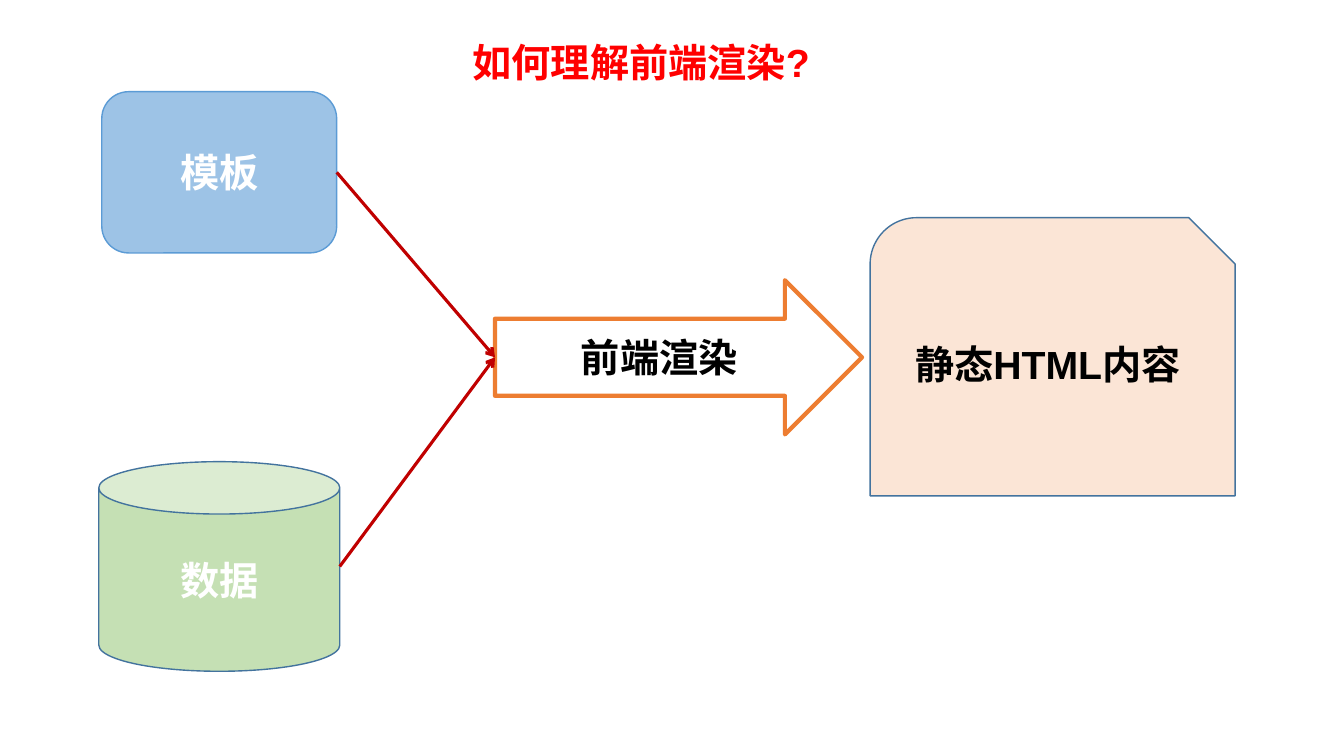
from lxml.etree import SubElement
from pptx import Presentation
from pptx.dml.color import RGBColor
from pptx.enum.shapes import MSO_CONNECTOR as Connector, MSO_SHAPE as Shape
from pptx.enum.text import MSO_ANCHOR as Anchor, MSO_AUTO_SIZE as AutoSize, PP_ALIGN as Align
from pptx.oxml.ns import qn
from pptx.util import Pt

PX = 9144


def color(value):
    return RGBColor.from_string(value)


def write(shape, text, text_color, align):
    shape.text_frame.word_wrap = True
    paragraph = shape.text_frame.paragraphs[0]
    paragraph.text = text
    paragraph.alignment = align
    paragraph.font.name = "Arial"
    paragraph.font.size = Pt(28)
    paragraph.font.bold = True
    paragraph.font.color.rgb = color(text_color)


presentation = Presentation()
presentation.slide_width = 1333 * PX
presentation.slide_height = 750 * PX
slide = presentation.slides.add_slide(presentation.slide_layouts[6])

blocks = [
    ("模板", Shape.ROUNDED_RECTANGLE, (101, 91, 233, 160), "9DC3E6", "5B9BD5", 1, "FFFFFF"),
    ("数据", Shape.CAN, (98, 458, 239, 208), "C5E0B4", "43739E", 1, "FFFFFF"),
    ("前端渲染", Shape.RIGHT_ARROW, (491, 278, 364, 153), "FFFFFF", "ED7D31", 3, "000000"),
    ("静态HTML内容", Shape.SNIP_ROUND_RECTANGLE, (863, 216, 362, 276), "FBE5D6", "43739E", 1, "000000"),
]
shapes = []
for text, kind, box, fill, line, width, text_color in blocks:
    shape = slide.shapes.add_shape(kind, *(length * PX for length in box))
    shape.shadow.inherit = False
    shape.fill.solid()
    shape.fill.fore_color.rgb = color(fill)
    shape.line.color.rgb = color(line)
    shape.line.width = Pt(width)
    shape.text_frame.vertical_anchor = Anchor.MIDDLE
    write(shape, text, text_color, Align.CENTER)
    shapes.append(shape)

template, data, rendering, content = shapes
connectors = []
for source in (template, data):
    connector = slide.shapes.add_connector(
        Connector.STRAIGHT,
        source.left + source.width, source.top + source.height // 2,
        rendering.left, rendering.top + rendering.height // 2,
    )
    connector.end_connect(rendering, 1)
    connector.line.color.rgb = color("C00000")
    connector.line.width = Pt(2.25)
    SubElement(connector.line._get_or_add_ln(), qn("a:tailEnd"), type="arrow")
    SubElement(connector._element.spPr, qn("a:effectLst"))
    connectors.append(connector)
connectors[0].begin_connect(template, 3)

title = slide.shapes.add_textbox(459 * PX, 33 * PX, 453 * PX, 57 * PX)
write(title, "如何理解前端渲染?", "FF0000", Align.LEFT)
title.text_frame.auto_size = AutoSize.SHAPE_TO_FIT_TEXT

presentation.save("out.pptx")
